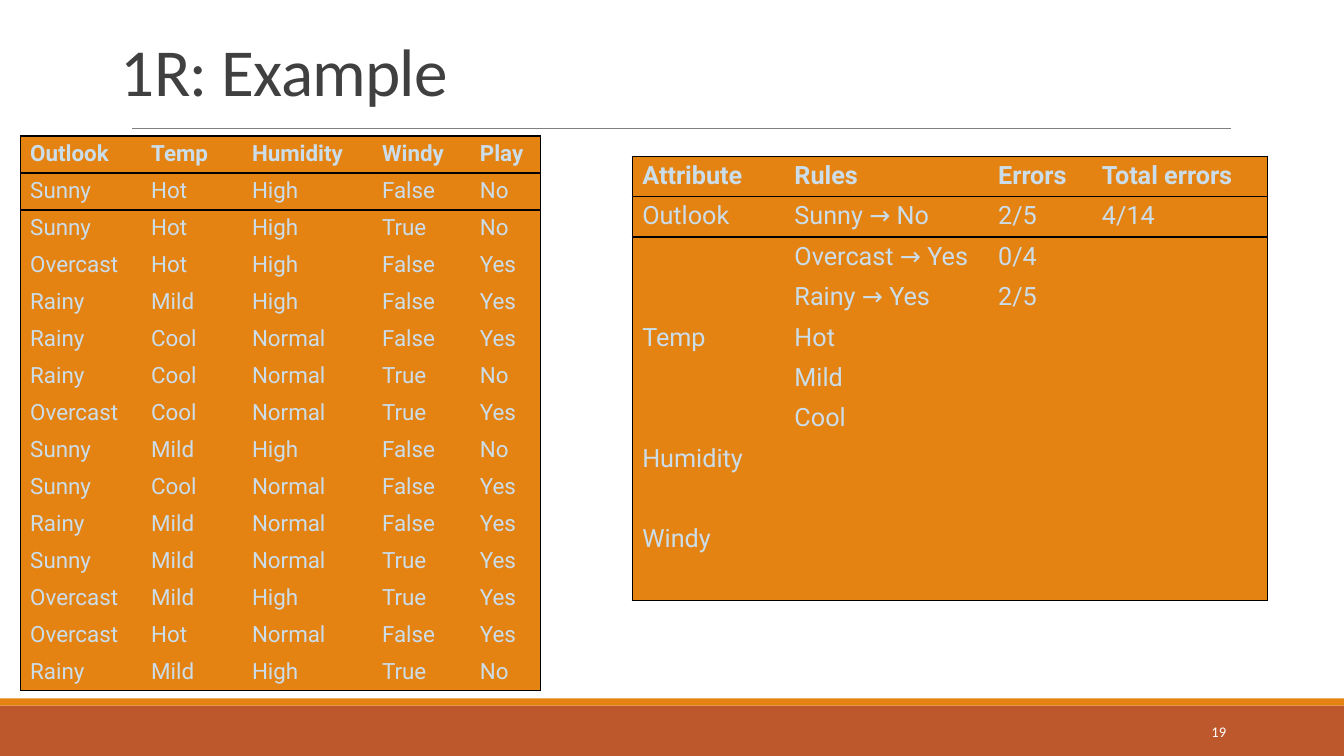
"""Build the 1R example slide with its weather data and rule tables."""
from dataclasses import dataclass

from lxml.etree import SubElement
from pptx import Presentation
from pptx.dml.color import RGBColor
from pptx.enum.shapes import MSO_CONNECTOR, MSO_SHAPE
from pptx.enum.text import MSO_ANCHOR, PP_ALIGN
from pptx.oxml.ns import qn
from pptx.slide import Slide
from pptx.table import _Cell
from pptx.text.text import TextFrame
from pptx.util import Inches, Pt


@dataclass(frozen=True)
class Theme:
    """Colours, fonts and type sizes of the slide."""
    orange: str = "E48312"
    rust: str = "BD582C"
    rule: str = "808080"
    border: str = "000000"
    title: str = "404040"
    cell_text: str = "CCDDEA"
    white: str = "FFFFFF"
    heading_font: str = "Calibri"
    table_font: str = "Roboto"
    title_size: float = 48
    number_size: float = 10.5
    weather_size: float = 16
    rules_size: float = 18


@dataclass(frozen=True)
class Area:
    """A rectangle in inches."""
    left: float
    top: float
    width: float
    height: float

    def lengths(self) -> tuple[Inches, ...]:
        """Return the rectangle as slide lengths."""
        return tuple(Inches(v) for v in (self.left, self.top, self.width, self.height))


@dataclass(frozen=True)
class Grid:
    """A bordered table with a bold header row."""
    left: float
    top: float
    widths: tuple[float, ...]
    size: float
    rows: tuple[tuple[str, ...], ...]


THEME = Theme()
ROW_HEIGHT = 0.33
PLAIN_TABLE_STYLE = "{2D5ABB26-0587-4C30-8999-92F81FD0307C}"
BANDS = ((Area(0, 7, 13.33, 0.5), THEME.rust), (Area(0, 6.93, 13.33, 0.07), THEME.orange))

WEATHER = Grid(0.2, 1.35, (1.2, 1, 1.29, 0.97, 0.7), THEME.weather_size, (
    ("Outlook", "Temp", "Humidity", "Windy", "Play"),
    ("Sunny", "Hot", "High", "False", "No"),
    ("Sunny", "Hot", "High", "True", "No"),
    ("Overcast", "Hot", "High", "False", "Yes"),
    ("Rainy", "Mild", "High", "False", "Yes"),
    ("Rainy", "Cool", "Normal", "False", "Yes"),
    ("Rainy", "Cool", "Normal", "True", "No"),
    ("Overcast", "Cool", "Normal", "True", "Yes"),
    ("Sunny", "Mild", "High", "False", "No"),
    ("Sunny", "Cool", "Normal", "False", "Yes"),
    ("Rainy", "Mild", "Normal", "False", "Yes"),
    ("Sunny", "Mild", "Normal", "True", "Yes"),
    ("Overcast", "Mild", "High", "True", "Yes"),
    ("Overcast", "Hot", "Normal", "False", "Yes"),
    ("Rainy", "Mild", "High", "True", "No"),
))

RULES = Grid(6.27, 1.55, (1.51, 2.02, 1.03, 1.74), THEME.rules_size, (
    ("Attribute", "Rules", "Errors", "Total errors"),
    ("Outlook", "Sunny → No", "2/5", "4/14"),
    ("", "Overcast → Yes", "0/4", ""),
    ("", "Rainy → Yes", "2/5", ""),
    ("Temp", "Hot", "", ""),
    ("", "Mild", "", ""),
    ("", "Cool", "", ""),
    ("Humidity", "", "", ""),
    ("", "", "", ""),
    ("Windy", "", "", ""),
    ("", "", "", ""),
))


def write_text(frame: TextFrame, text: str, *, size: float, font: str, color: str,
               bold: bool = False, align: PP_ALIGN = PP_ALIGN.LEFT,
               line_spacing: float = 1.0, tracking: float = 0) -> None:
    """Write one formatted paragraph, keeping the type size even when it is empty."""
    para = frame.paragraphs[0]
    para.alignment = align
    para.line_spacing = line_spacing
    if not text:
        end = SubElement(para._p, qn("a:endParaRPr"), sz=str(int(size * 100)))
        SubElement(end, qn("a:latin"), typeface=font)
        return
    span = para.add_run()
    span.text = text
    span.font.size = Pt(size)
    span.font.name = font
    span.font.bold = bold
    span.font.color.rgb = RGBColor.from_string(color)
    if tracking:
        span.font._element.set("spc", str(int(tracking * 100)))


def add_text_box(page: Slide, area: Area, anchor: MSO_ANCHOR) -> TextFrame:
    """Add a wrapping text box and return its frame."""
    frame = page.shapes.add_textbox(*area.lengths()).text_frame
    frame.word_wrap = True
    frame.vertical_anchor = anchor
    return frame


def add_band(page: Slide, area: Area, color: str) -> None:
    """Add a plain footer band."""
    band = page.shapes.add_shape(MSO_SHAPE.RECTANGLE, *area.lengths())
    band.shadow.inherit = False
    band.fill.solid()
    band.fill.fore_color.rgb = RGBColor.from_string(color)
    band.line.fill.background()


def add_title_rule(page: Slide) -> None:
    """Add the thin line below the title."""
    rule = page.shapes.add_connector(
        MSO_CONNECTOR.STRAIGHT, Inches(1.31), Inches(1.27), Inches(12.21), Inches(1.27))
    rule.line.color.rgb = RGBColor.from_string(THEME.rule)
    rule.line.width = Pt(0.5)
    SubElement(rule._element.spPr, qn("a:effectLst"))


def add_border(cell: _Cell, side: str) -> None:
    """Draw one side of a cell: L, R, T or B."""
    line = SubElement(cell._tc.get_or_add_tcPr(), qn(f"a:ln{side}"), w=str(Pt(1)))
    fill = SubElement(line, qn("a:solidFill"))
    SubElement(fill, qn("a:srgbClr"), val=THEME.border)


def add_grid(page: Slide, grid: Grid) -> None:
    """Add a table framed on the outside and ruled below its header."""
    last_row, last_column = len(grid.rows) - 1, len(grid.widths) - 1
    area = Area(grid.left, grid.top, sum(grid.widths), ROW_HEIGHT * len(grid.rows))
    table = page.shapes.add_table(last_row + 1, last_column + 1, *area.lengths()).table
    table.horz_banding = False
    table._tbl.tblPr.find(qn("a:tableStyleId")).text = PLAIN_TABLE_STYLE
    for column, width in zip(table.columns, grid.widths):
        column.width = Inches(width)
    for row, texts in enumerate(grid.rows):
        table.rows[row].height = Inches(ROW_HEIGHT)
        for column, text in enumerate(texts):
            cell = table.cell(row, column)
            sides = {"L": column == 0, "R": column == last_column,
                     "T": row in (0, 1), "B": row in (0, last_row)}
            for side, drawn in sides.items():
                if drawn:
                    add_border(cell, side)
            cell.fill.solid()
            cell.fill.fore_color.rgb = RGBColor.from_string(THEME.orange)
            write_text(cell.text_frame, text, size=grid.size, font=THEME.table_font,
                       color=THEME.cell_text, bold=row == 0)


def main() -> None:
    """Build and save the deck."""
    deck = Presentation()
    deck.slide_width, deck.slide_height = Inches(13.33), Inches(7.5)
    page = deck.slides.add_slide(deck.slide_layouts[6])
    for area, color in BANDS:
        add_band(page, area, color)
    add_title_rule(page)
    title = add_text_box(page, Area(1.1, 0.06, 11, 1.08), MSO_ANCHOR.BOTTOM)
    write_text(title, "1R: Example", size=THEME.title_size, font=THEME.heading_font,
               color=THEME.title, line_spacing=0.85, tracking=-0.5)
    number = add_text_box(page, Area(10.83, 7.06, 1.43, 0.4), MSO_ANCHOR.MIDDLE)
    write_text(number, "19", size=THEME.number_size, font=THEME.heading_font,
               color=THEME.white, align=PP_ALIGN.RIGHT)
    for grid in (WEATHER, RULES):
        add_grid(page, grid)
    deck.save("out.pptx")


if __name__ == "__main__":
    main()
